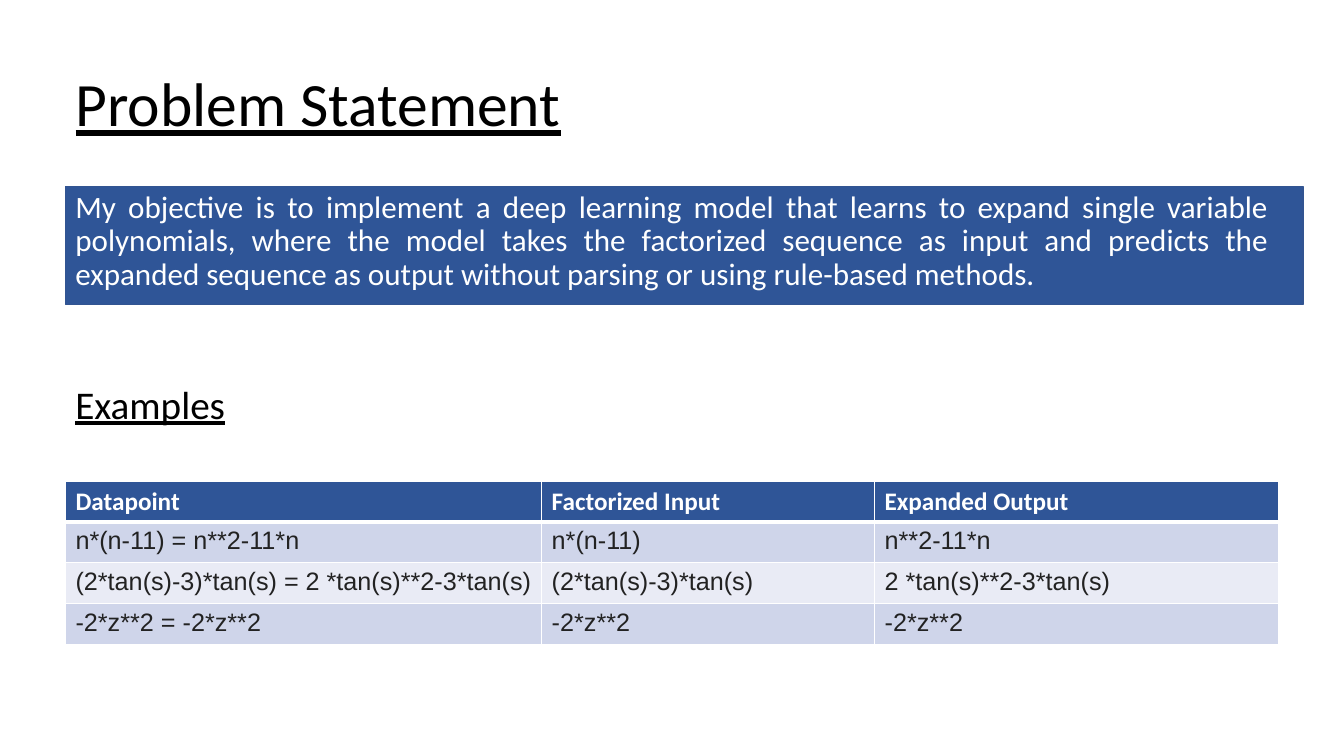
import pptx
import pptx.dml.color
import pptx.enum.shapes
import pptx.enum.text
import pptx.oxml.ns
import pptx.util
from lxml import etree

Cm = pptx.util.Cm
Pt = pptx.util.Pt
Align = pptx.enum.text.PP_ALIGN
Anchor = pptx.enum.text.MSO_ANCHOR
qn = pptx.oxml.ns.qn

LEFT = 1.65
WIDTH = 30.58
BANNER_TOP = 4.7
BANNER_HEIGHT = 2.97

OBJECTIVE = (
    "My objective is to implement a deep learning model that learns to expand "
    "single variable polynomials, where the model takes the factorized sequence "
    "as input and predicts the expanded sequence as output without parsing or "
    "using rule-based methods."
)
EXAMPLES = [
    ("Datapoint", "Factorized Input", "Expanded Output"),
    ("n*(n-11) = n**2-11*n", "n*(n-11)", "n**2-11*n"),
    (
        "(2*tan(s)-3)*tan(s) = 2 *tan(s)**2-3*tan(s)",
        "(2*tan(s)-3)*tan(s)",
        "2 *tan(s)**2-3*tan(s)",
    ),
    ("-2*z**2 = -2*z**2", "-2*z**2", "-2*z**2"),
]


def color(value):
    return pptx.dml.color.RGBColor.from_string(value)


class ProblemPage:
    blue = "2F5597"
    outline = "325491"
    white = "FFFFFF"
    black = "000000"
    cell_text = "222222"
    bands = ("E9EBF5", "CFD5EA")
    font = "Calibri"
    cell_font = "Arial"

    def __init__(self, deck):
        self.page = deck.slides.add_slide(deck.slide_layouts[5])

    def place(self, box, left, top, width, height):
        box.left, box.top = Cm(left), Cm(top)
        box.width, box.height = Cm(width), Cm(height)

    def add_span(self, frame, text, size, ink, font=None, bold=False,
                 underline=False, align=Align.LEFT):
        para = frame.paragraphs[0]
        para.alignment = align
        span = para.add_run()
        span.text = text
        span.font.size = Pt(size)
        span.font.name = font or self.font
        span.font.bold = bold
        span.font.underline = underline
        span.font.color.rgb = color(ink)
        return para

    def title(self, text, left, top, width, height):
        box = self.page.shapes.title
        self.place(box, left, top, width, height)
        box.text_frame.vertical_anchor = Anchor.TOP
        self.add_span(box.text_frame, text, 44, self.black, underline=True)

    def text(self, text, left, top, width, height, size, ink, **style):
        box = self.page.shapes.add_textbox(
            Cm(left), Cm(top), Cm(width), Cm(height))
        box.text_frame.word_wrap = True
        return self.add_span(box.text_frame, text, size, ink, **style)

    def banner(self, left, top, width, height):
        box = self.page.shapes.add_shape(
            pptx.enum.shapes.MSO_SHAPE.RECTANGLE,
            Cm(left), Cm(top), Cm(width), Cm(height))
        box.shadow.inherit = False
        box.fill.solid()
        box.fill.fore_color.rgb = color(self.blue)
        box.line.color.rgb = color(self.outline)
        box.line.width = Pt(1)

    def border(self, cell, side, points):
        properties = cell._tc.get_or_add_tcPr()
        line = etree.SubElement(
            properties, qn(f"a:ln{side}"), w=str(Pt(points)))
        fill = etree.SubElement(line, qn("a:solidFill"))
        etree.SubElement(fill, qn("a:srgbClr"), val=self.white)

    def table(self, rows, left, top, widths, row_height):
        table = self.page.shapes.add_table(
            len(rows), len(widths), Cm(left), Cm(top),
            Cm(sum(widths)), Cm(row_height * len(rows))).table
        for column, width in zip(table.columns, widths):
            column.width = Cm(width)
        for row_index, row in enumerate(rows):
            header = row_index == 0
            table.rows[row_index].height = Cm(row_height)
            for column_index, text in enumerate(row):
                cell = table.cell(row_index, column_index)
                for side in "LRTB":
                    thick = (row_index, side) in ((0, "B"), (1, "T"))
                    self.border(cell, side, 3 if thick else 1)
                cell.fill.solid()
                cell.fill.fore_color.rgb = color(
                    self.blue if header else self.bands[row_index % 2])
                self.add_span(
                    cell.text_frame, text, 18,
                    self.white if header else self.cell_text,
                    font=self.font if header else self.cell_font,
                    bold=header)


def main():
    deck = pptx.Presentation()
    deck.slide_width, deck.slide_height = Cm(33.87), Cm(19.05)
    page = ProblemPage(deck)
    page.banner(LEFT, BANNER_TOP, 31.19, BANNER_HEIGHT)
    objective = page.text(
        OBJECTIVE, LEFT, BANNER_TOP, WIDTH, BANNER_HEIGHT, 22.2, page.white,
        align=Align.JUSTIFY)
    objective.line_spacing = 0.9
    objective.space_before = Pt(10)
    page.title("Problem Statement", LEFT, 1.52, 13.49, 2.13)
    page.text("Examples", LEFT, 9.45, 6, 1.45, 28, page.black, underline=True)
    page.table(EXAMPLES, LEFT, 12.12, (12, 8.39, 10.19), 1.03)
    deck.save("out.pptx")


if __name__ == "__main__":
    main()
